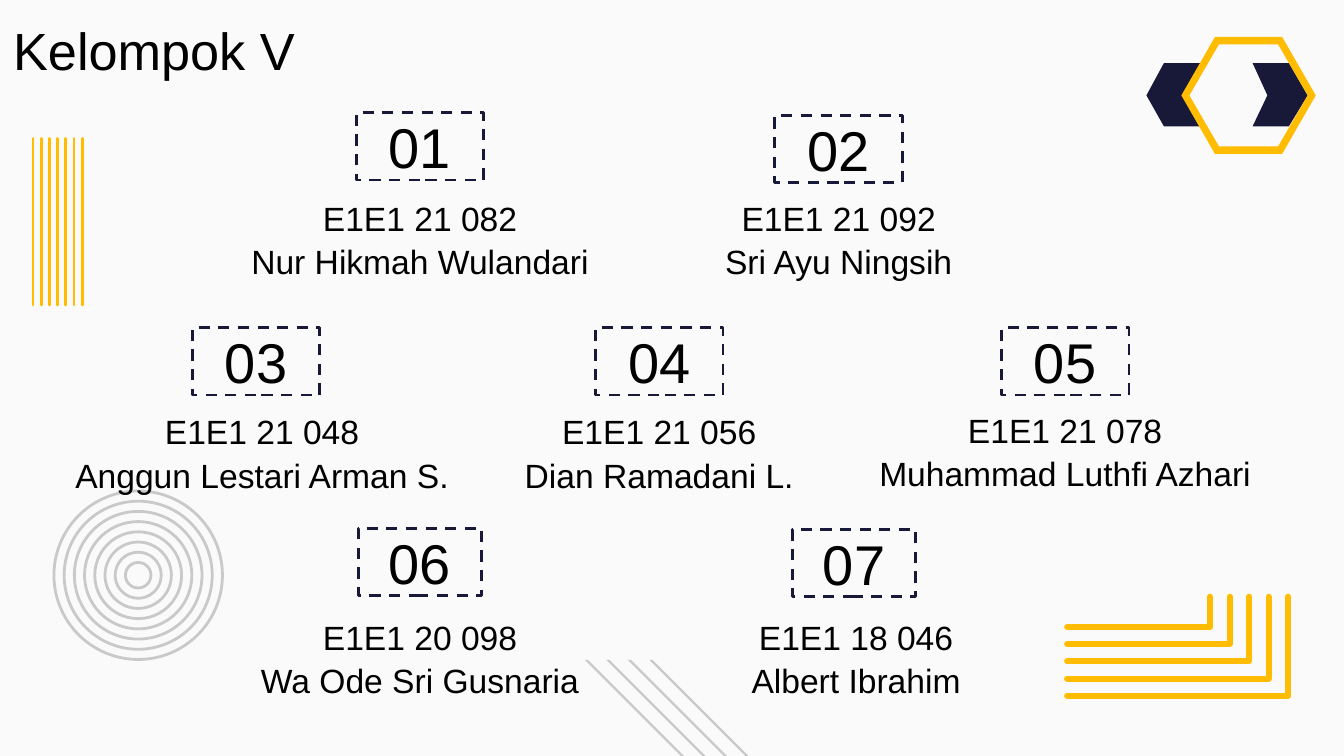
from dataclasses import dataclass

from lxml import etree
from pptx import Presentation
from pptx.dml.color import RGBColor
from pptx.enum.dml import MSO_LINE
from pptx.enum.shapes import MSO_CONNECTOR, MSO_SHAPE
from pptx.enum.text import MSO_ANCHOR, PP_ALIGN
from pptx.oxml.ns import qn
from pptx.util import Inches, Pt

RECTANGLE, OVAL = MSO_SHAPE.RECTANGLE, MSO_SHAPE.OVAL
STRAIGHT = MSO_CONNECTOR.STRAIGHT
DASH = MSO_LINE.DASH
TOP, MIDDLE = MSO_ANCHOR.TOP, MSO_ANCHOR.MIDDLE
LEFT, CENTER = PP_ALIGN.LEFT, PP_ALIGN.CENTER

SLIDE_WIDTH, SLIDE_HEIGHT = Inches(10), Inches(5.625)
COLUMNS = 100  # square grid cells across the slide
ROWS = COLUMNS * SLIDE_HEIGHT / SLIDE_WIDTH

Point = tuple[float, float]


@dataclass(frozen=True)
class Theme:
    font: str = "Arial"
    background: RGBColor = RGBColor(0xFA, 0xFA, 0xFA)
    ink: RGBColor = RGBColor(0, 0, 0)
    navy: RGBColor = RGBColor(0x18, 0x18, 0x39)
    amber: RGBColor = RGBColor(0xFF, 0xBC, 0x00)
    grey: RGBColor = RGBColor(0xC9, 0xC9, 0xC9)
    title_size: float = 28
    number_size: float = 30
    caption_size: float = 18
    thin: float = 1.5
    thick: float = 3.2


@dataclass(frozen=True)
class Member:
    number: str
    student_id: str
    name: str
    center: float
    badge_top: float
    caption_top: float
    badge_width: float = 9.5
    caption_width: float = 28.8
    caption_shift: float = 0


THEME = Theme()
BADGE_HEIGHT, CAPTION_HEIGHT = 5, 7.5
MEMBERS = (
    Member("01", "E1E1 21 082", "Nur Hikmah Wulandari", 31.25, 8.4, 13.5),
    Member("02", "E1E1 21 092", "Sri Ayu Ningsih", 62.4, 8.6, 13.5),
    Member("03", "E1E1 21 048", "Anggun Lestari Arman S.", 19.05, 24.4, 29.4,
           caption_width=29.8, caption_shift=0.45),
    Member("04", "E1E1 21 056", "Dian Ramadani L.", 49.05, 24.4, 29.4),
    Member("05", "E1E1 21 078", "Muhammad Luthfi Azhari", 79.25, 24.4, 29.3,
           caption_width=31),
    Member("06", "E1E1 20 098", "Wa Ode Sri Gusnaria", 31.25, 39.3, 44.7,
           badge_width=9.2),
    Member("07", "E1E1 18 046", "Albert Ibrahim", 63.55, 39.4, 44.7,
           badge_width=9.2, caption_width=31, caption_shift=0.15),
)


def cells(*lengths: float) -> list[int]:
    """Turn grid cells into slide units."""
    return [round(length * SLIDE_WIDTH / COLUMNS) for length in lengths]


def style_stroke(shape, color: RGBColor, width: float) -> None:
    shape.line.color.rgb = color
    shape.line.width = Pt(width)


def round_caps(shape) -> None:
    shape.line._get_or_add_ln().set("cap", "rnd")


def draw_polygon(shapes, color: RGBColor, *contours: list[Point]) -> None:
    """Fill a polygon; a second contour cuts a hole in the first."""
    builder = None
    for contour in contours:
        first, *others = [cells(*point) for point in contour]
        if builder is None:
            builder = shapes.build_freeform(*first)
        else:
            builder.move_to(*first)
        builder.add_line_segments(others, close=True)
    polygon = builder.convert_to_shape()
    polygon.shadow.inherit = False
    polygon.fill.solid()
    polygon.fill.fore_color.rgb = color
    polygon.line.fill.background()


def draw_diagonals(shapes) -> None:
    top, thickness = 49.1, 0.25
    run = ROWS - top
    for index in range(4):
        left = 43.5 + 1.6 * index
        draw_polygon(shapes, THEME.grey, [
            (left, top), (left + thickness, top),
            (left + thickness + run, ROWS), (left + run, ROWS)])


def draw_bars(shapes) -> None:
    for index in range(7):
        x = 2.46 + 0.61 * index
        bar = shapes.add_connector(STRAIGHT, *cells(x, 10.3, x, 22.7))
        style_stroke(bar, THEME.amber, THEME.thin)
        round_caps(bar)
        etree.SubElement(bar._element.spPr, qn("a:effectLst"))


def hexagon(center: Point, half_width: float, half_flat: float,
            half_height: float) -> list[Point]:
    x, y = center
    return [(x - half_width, y), (x - half_flat, y - half_height),
            (x + half_flat, y - half_height), (x + half_width, y),
            (x + half_flat, y + half_height), (x - half_flat, y + half_height)]


def draw_emblem(shapes) -> None:
    top, middle, bottom = 4.7, 7.1, 9.4
    draw_polygon(shapes, THEME.navy, [
        (89.4, bottom), (88.2, middle), (89.4, top),
        (86.6, top), (85.3, middle), (86.6, bottom)])
    draw_polygon(shapes, THEME.navy, [
        (95.9, bottom), (97.3, middle), (95.9, top),
        (93.2, top), (94.3, middle), (93.2, bottom)])
    center = (92.9, middle)
    draw_polygon(shapes, THEME.amber, hexagon(center, 5, 2.5, 4.35),
                 hexagon(center, 4.4, 2.2, 3.8)[::-1])


def draw_corners(shapes) -> None:
    for index in range(5):
        right, bottom = 90.05 + 1.45 * index, 46.65 + 1.28 * index
        builder = shapes.build_freeform(*cells(79.4, bottom))
        builder.add_line_segments(
            [cells(right, bottom), cells(right, 44.4)], close=False)
        corner = builder.convert_to_shape()
        corner.shadow.inherit = False
        corner.fill.background()
        style_stroke(corner, THEME.amber, THEME.thick)
        round_caps(corner)


def draw_rings(shapes) -> None:
    x, y = 10.28, 42.8
    for index in range(8):
        radius = 6.27 - 0.76 * index
        ring = shapes.add_shape(
            OVAL, *cells(x - radius, y - radius, 2 * radius, 2 * radius))
        ring.shadow.inherit = False
        ring.fill.background()
        style_stroke(ring, THEME.grey, THEME.thin)


def write(shape, text: str, size: float, align=CENTER, anchor=TOP,
          spacing: float = 1) -> None:
    frame = shape.text_frame
    frame.text = text
    frame.word_wrap = True
    frame.vertical_anchor = anchor
    frame.margin_left = frame.margin_right = Inches(0.1)
    frame.margin_top = frame.margin_bottom = Inches(0.1)
    for paragraph in frame.paragraphs:
        paragraph.alignment = align
        paragraph.line_spacing = spacing
        for run in paragraph.runs:
            run.font.name = THEME.font
            run.font.size = Pt(size)
            run.font.color.rgb = THEME.ink


def draw_member(shapes, member: Member) -> None:
    badge = shapes.add_shape(RECTANGLE, *cells(
        member.center - member.badge_width / 2, member.badge_top,
        member.badge_width, BADGE_HEIGHT))
    badge.shadow.inherit = False
    badge.fill.background()
    style_stroke(badge, THEME.navy, THEME.thin)
    badge.line.dash_style = DASH
    write(badge, member.number, THEME.number_size, anchor=MIDDLE)

    caption = shapes.add_textbox(*cells(
        member.center + member.caption_shift - member.caption_width / 2,
        member.caption_top, member.caption_width, CAPTION_HEIGHT))
    write(caption, f"{member.student_id}\v{member.name}",
          THEME.caption_size, spacing=1.07)


def main() -> None:
    deck = Presentation()
    deck.slide_width, deck.slide_height = SLIDE_WIDTH, SLIDE_HEIGHT
    slide = deck.slides.add_slide(deck.slide_layouts[6])
    slide.background.fill.solid()
    slide.background.fill.fore_color.rgb = THEME.background
    for draw in (draw_diagonals, draw_bars, draw_emblem, draw_corners, draw_rings):
        draw(slide.shapes)
    for member in MEMBERS:
        draw_member(slide.shapes, member)
    title = slide.shapes.add_textbox(*cells(0, 0, 27, 6.3))
    write(title, "Kelompok V", THEME.title_size, align=LEFT, spacing=1.07)
    deck.save("out.pptx")


if __name__ == "__main__":
    main()
